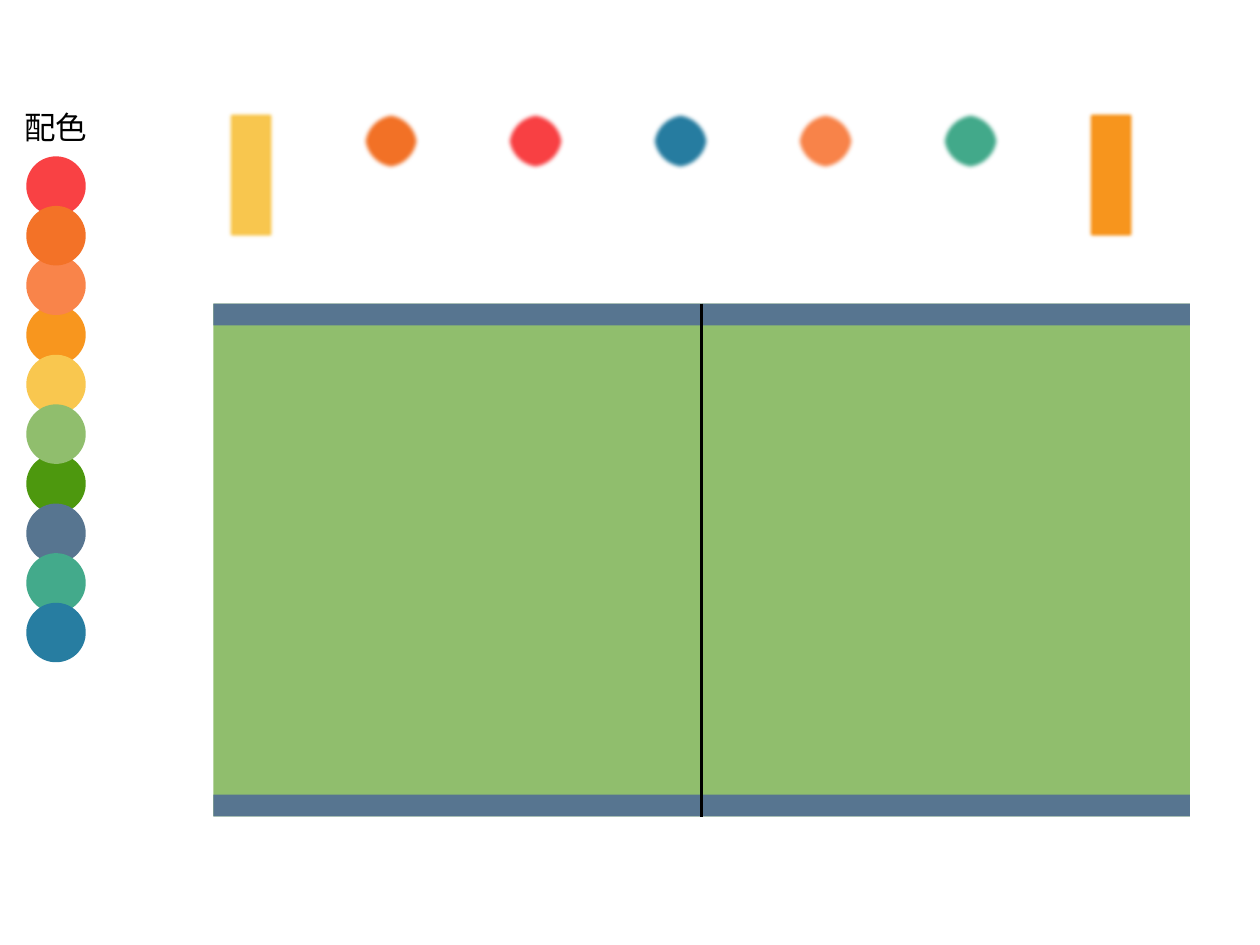
from lxml.etree import SubElement
from pptx import Presentation
from pptx.dml.color import RGBColor
from pptx.enum.shapes import MSO_CONNECTOR as Link, MSO_SHAPE as Preset
from pptx.enum.text import PP_ALIGN as Align
from pptx.oxml.ns import qn
from pptx.util import Cm, Pt

COLORS = {
    "red": "F94144", "orange": "F37227", "coral": "F9844A",
    "amber": "F8961E", "yellow": "F9C74F", "light green": "90BE6D",
    "dark green": "4D980E", "slate": "577590", "teal": "43AA8B",
    "blue": "277DA1", "black": "000000",
}
PALETTE_TOP_DOWN = ["red", "orange", "coral", "amber", "yellow",
                    "light green", "dark green", "slate", "teal", "blue"]
PALETTE_BACK_TO_FRONT = ["amber", "yellow", "dark green", "light green",
                         "slate", "red", "teal", "coral", "orange", "blue"]
SPOTS = ["orange", "red", "blue", "coral", "teal"]
CIRCLE = 1.2


def rgb(name):
    return RGBColor.from_string(COLORS[name])


def add_block(shapes, preset, left, top, width, height, color):
    block = shapes.add_shape(preset, Cm(left), Cm(top), Cm(width), Cm(height))
    block.shadow.inherit = False
    block.fill.solid()
    block.fill.fore_color.rgb = rgb(color)
    block.line.fill.background()
    return block


def add_circle(shapes, left, top, color):
    circle = add_block(shapes, Preset.OVAL, left, top, CIRCLE, CIRCLE, color)
    circle.rotation = 273
    return circle


def soften(block, radius=Pt(2.5)):
    """Blur the edge of a block."""
    effects = block._element.spPr.find(qn("a:effectLst"))
    SubElement(effects, qn("a:softEdge"), rad=str(int(radius)))


def add_label(shapes, text, left, top, width, height):
    box = shapes.add_textbox(Cm(left), Cm(top), Cm(width), Cm(height))
    box.text_frame.word_wrap = True
    para = box.text_frame.paragraphs[0]
    para.alignment = Align.CENTER
    span = para.add_run()
    span.text = text
    for name, value in {"size": Pt(18), "name": "Arial"}.items():
        setattr(span.font, name, value)
    span.font.color.rgb = rgb("black")


def add_palette(shapes):
    for color in PALETTE_BACK_TO_FRONT:
        add_circle(shapes, 0.53, 3.15 + PALETTE_TOP_DOWN.index(color), color)
    add_label(shapes, "配色", -0.08, 2.06, 2.41, 1.02)


def add_field(shapes, left, top, width, height, band):
    """Add a green field with a band along each long side and a middle line."""
    parts = shapes.add_group_shape().shapes
    add_block(parts, Preset.RECTANGLE, left, top, width, height, "light green")
    for band_top in (top, top + height - band):
        add_block(parts, Preset.RECTANGLE, left, band_top, width, band, "slate")
    middle = Cm(left + width / 2)
    line = parts.add_connector(Link.STRAIGHT, middle, Cm(top),
                               middle, Cm(top + height))
    line.line.color.rgb = rgb("black")
    line.line.width = Pt(2)
    SubElement(line._element.spPr, qn("a:effectLst"))


def add_top_row(shapes):
    for left, color in ((4.55, "yellow"), (21.89, "amber")):
        soften(add_block(shapes, Preset.RECTANGLE, left, 2.21, 1.02, 2.64, color))
    for index, color in enumerate(SPOTS):
        soften(add_circle(shapes, 7.28 + 2.92 * index, 2.24, color))


def main():
    deck = Presentation()
    deck.slide_width, deck.slide_height = Cm(25.4), Cm(19.05)
    page = deck.slides.add_slide(deck.slide_layouts[6])
    add_palette(page.shapes)
    add_field(page.shapes, 4.3, 6.12, 19.69, 10.34, 0.44)
    add_top_row(page.shapes)
    deck.save("out.pptx")


if __name__ == "__main__":
    main()
